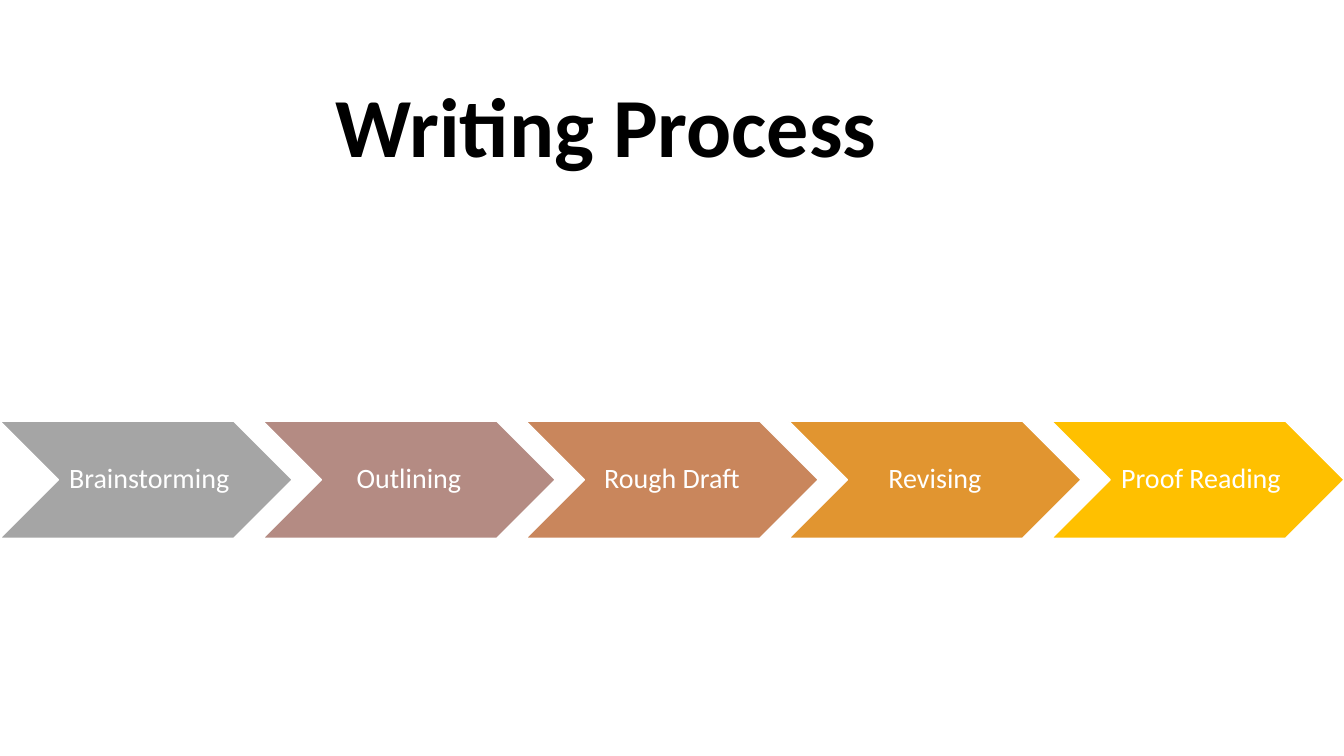
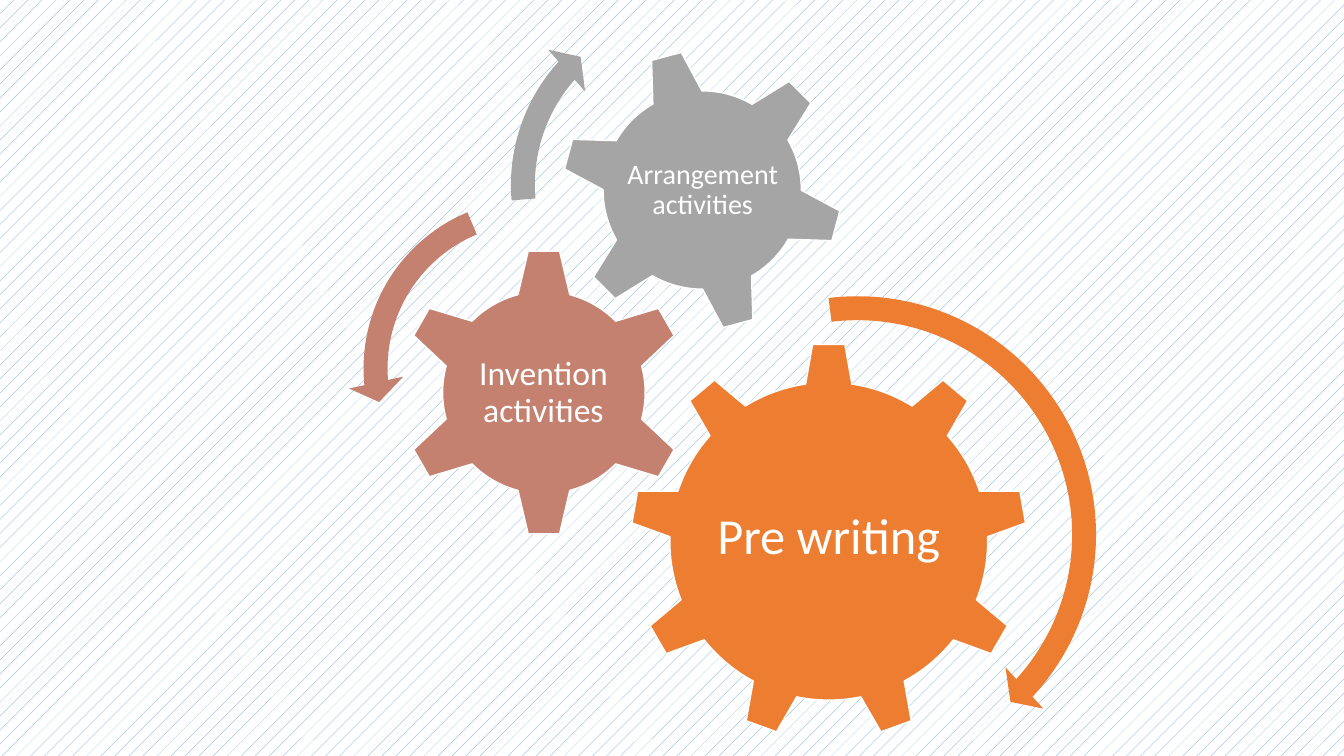
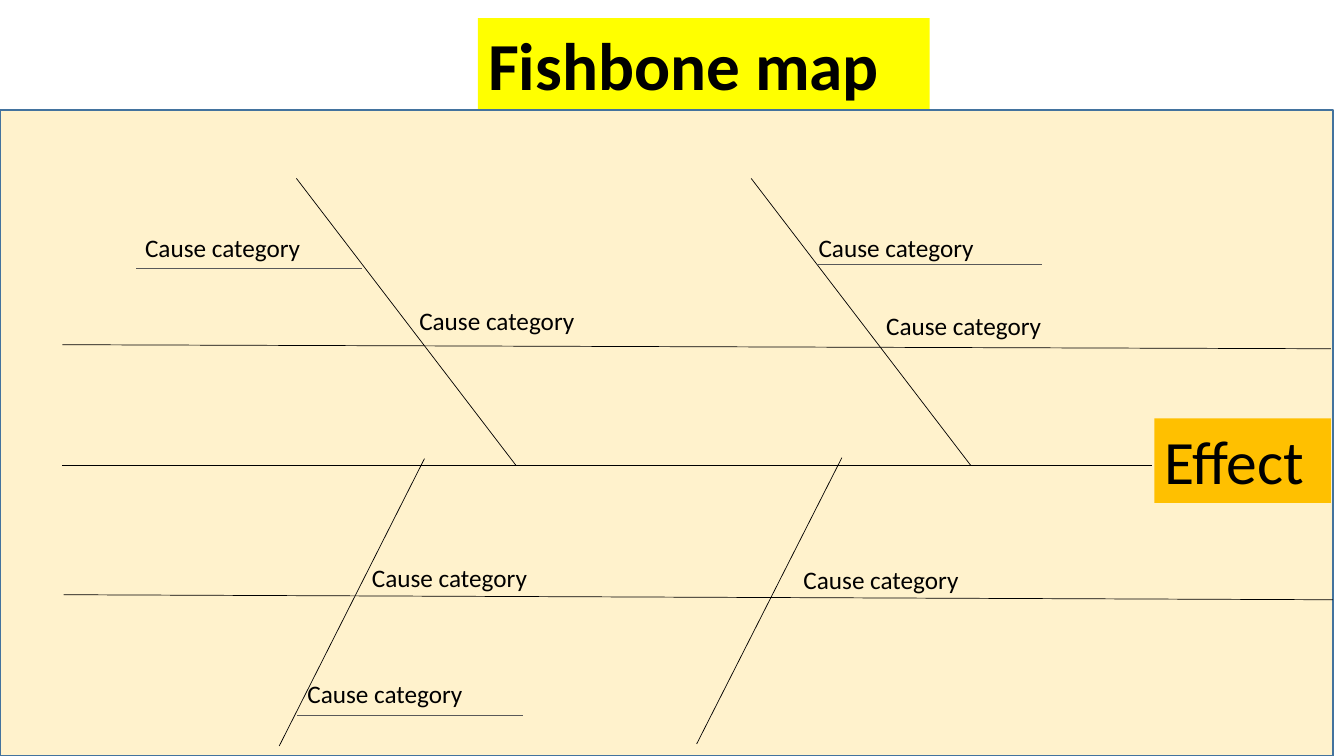
from dataclasses import dataclass

from lxml.etree import SubElement
from pptx import Presentation
from pptx.dml.color import RGBColor
from pptx.enum.dml import MSO_PATTERN
from pptx.enum.shapes import MSO_CONNECTOR, MSO_SHAPE
from pptx.enum.text import MSO_ANCHOR, PP_ALIGN
from pptx.oxml.ns import qn
from pptx.util import Inches, Pt


@dataclass(frozen=True)
class Theme:
    font: str = "Calibri"
    black: str = "000000"
    white: str = "FFFFFF"
    gray: str = "A5A5A5"
    rose: str = "C48170"
    orange: str = "ED7D31"
    gold: str = "FFC000"
    yellow: str = "FFFF00"
    cream: str = "FFF2CC"
    blue: str = "5B9BD5"
    panel_edge: str = "43739E"
    underline: str = "595959"
    steps: tuple = ("A5A5A5", "B48B83", "C9865C", "E19530", "FFC000")
    process_title_size: int = 60
    map_title_size: int = 48
    effect_size: int = 44
    step_size: int = 20
    cause_size: int = 18


theme = Theme()


def write_text(shape, text, size, color=theme.black, bold=False, align=PP_ALIGN.LEFT,
               anchor=MSO_ANCHOR.TOP, insets=(0.1, 0.05, 0.1, 0.05), spacing=1.0):
    """Fill a shape with one paragraph; insets run left, top, right, bottom in inches."""
    frame = shape.text_frame
    frame.text = text
    frame.word_wrap = True
    frame.vertical_anchor = anchor
    frame.margin_left, frame.margin_top, frame.margin_right, frame.margin_bottom = map(Inches, insets)
    paragraph = frame.paragraphs[0]
    paragraph.alignment = align
    paragraph.line_spacing = spacing
    font = paragraph.runs[0].font
    font.name, font.size, font.bold = theme.font, Pt(size), bold
    font.color.rgb = RGBColor.from_string(color)


def draw_shape(slide, kind, box, fill, line=None):
    """Add a preset shape; box is left, top, width, height in inches."""
    shape = slide.shapes.add_shape(kind, *map(Inches, box))
    shape.shadow.inherit = False
    shape.fill.solid()
    shape.fill.fore_color.rgb = RGBColor.from_string(fill)
    if line:
        shape.line.color.rgb = RGBColor.from_string(line)
        shape.line.width = Pt(1)
    else:
        shape.line.fill.background()
    return shape


presentation = Presentation()
presentation.slide_width = Inches(13.33)
presentation.slide_height = Inches(7.5)
title_only, blank = presentation.slide_layouts[5], presentation.slide_layouts[6]

# Writing process
slide = presentation.slides.add_slide(title_only)
title = slide.shapes.title
title.left, title.top, title.width, title.height = map(Inches, (1.18, 0.68, 9.85, 1.11))
write_text(title, "Writing Process ", theme.process_title_size, bold=True, align=PP_ALIGN.CENTER)

step_names = ("Brainstorming ", "Outlining ", "Rough Draft ", "Revising ", "Proof Reading ")
step_width, step_pitch = 2.9, 2.608
for index, (name, color) in enumerate(zip(step_names, theme.steps)):
    box = (index * step_pitch, 4.18, step_width, 1.16)
    chevron = draw_shape(slide, MSO_SHAPE.CHEVRON, box, color, theme.white)
    write_text(chevron, name, theme.step_size, theme.white, align=PP_ALIGN.CENTER,
               anchor=MSO_ANCHOR.MIDDLE, insets=(0.09, 0.03, 0.03, 0.03), spacing=0.9)

# Prewriting gears
slide = presentation.slides.add_slide(blank)
background = slide.background.fill
background.patterned()
background.pattern = MSO_PATTERN.PERCENT_5
background.fore_color.rgb = RGBColor.from_string(theme.blue)
background.back_color.rgb = RGBColor.from_string(theme.white)

gears = (
    (MSO_SHAPE.GEAR_9, (6.25, 3.4, 3.94, 3.94), 0, theme.orange,
     "Pre writing ", (7.04, 4.32, 2.36, 2.03), 36, 0.05),
    (MSO_SHAPE.GEAR_6, (3.96, 2.46, 2.87, 2.87), 0, theme.rose,
     "Invention activities", (4.68, 3.19, 1.42, 1.42), 24, 0.03),
    (MSO_SHAPE.GEAR_6, (5.56, 0.48, 2.81, 2.81), 345, theme.gray,
     "Arrangement activities", (6.18, 1.1, 1.58, 1.58), 20, 0.03),
)
for kind, box, rotation, color, text, label_box, size, inset in gears:
    gear = draw_shape(slide, kind, box, color, theme.white)
    gear.rotation = rotation
    label = slide.shapes.add_textbox(*map(Inches, label_box))
    write_text(label, text, size, theme.white, align=PP_ALIGN.CENTER,
               anchor=MSO_ANCHOR.MIDDLE, insets=(inset,) * 4, spacing=0.9)

turn_arrows = (
    (MSO_SHAPE.CIRCULAR_ARROW, (5.98, 2.78, 5.05, 5.05), theme.orange,
     (0.047, 2.99, 25.537, 157.828, 0.055)),
    (MSO_SHAPE.LEFT_CIRCULAR_ARROW, (3.45, 1.82, 3.67, 3.67), theme.rose,
     (0.065, 4.3, 104.891, 148.378, 0.075)),
    (MSO_SHAPE.CIRCULAR_ARROW, (4.91, -0.14, 3.95, 3.95), theme.gray,
     (0.06, 3.941, 133.138, 105.082, 0.07)),
)
for kind, box, color, adjustments in turn_arrows:
    arrow = draw_shape(slide, kind, box, color)
    for index, value in enumerate(adjustments):
        arrow.adjustments[index] = value

# Fishbone map
slide = presentation.slides.add_slide(title_only)
title = slide.shapes.title
title.left, title.top, title.width, title.height = map(Inches, (4.74, 0.18, 4.48, 0.91))
title.fill.solid()
title.fill.fore_color.rgb = RGBColor.from_string(theme.yellow)
write_text(title, "Fishbone map", theme.map_title_size, bold=True)

draw_shape(slide, MSO_SHAPE.RECTANGLE, (0, 1.09, 13.22, 6.41), theme.cream, theme.panel_edge)
effect = draw_shape(slide, MSO_SHAPE.RECTANGLE, (11.45, 4.15, 1.75, 0.84), theme.gold)
write_text(effect, "Effect", theme.effect_size)

bones = (
    (0.62, 4.62, 11.43, 4.62),
    (2.94, 1.77, 5.12, 4.62),
    (7.45, 1.77, 9.63, 4.62),
    (8.35, 4.54, 6.91, 7.38),
    (4.21, 4.55, 2.77, 7.4),
    (0.62, 3.42, 13.2, 3.46),
    (0.63, 5.9, 13.22, 5.95),
)
underlines = ((1.35, 2.66, 3.59, 2.66), (8.1, 2.62, 10.33, 2.62), (2.95, 7.1, 5.19, 7.1))
for color, segments in ((theme.black, bones), (theme.underline, underlines)):
    for segment in segments:
        connector = slide.shapes.add_connector(MSO_CONNECTOR.STRAIGHT, *map(Inches, segment))
        connector.line.color.rgb = RGBColor.from_string(color)
        connector.line.width = Pt(0.5)
        SubElement(connector._element.spPr, qn("a:effectLst"))

cause_positions = ((1.34, 2.26), (8.02, 2.26), (8.69, 3.03), (4.06, 2.98),
                   (2.95, 6.68), (7.87, 5.55), (3.59, 5.53))
for left, top in cause_positions:
    cause = slide.shapes.add_textbox(*map(Inches, (left, top, 2.15, 0.4)))
    write_text(cause, "Cause category", theme.cause_size)

presentation.save("out.pptx")
